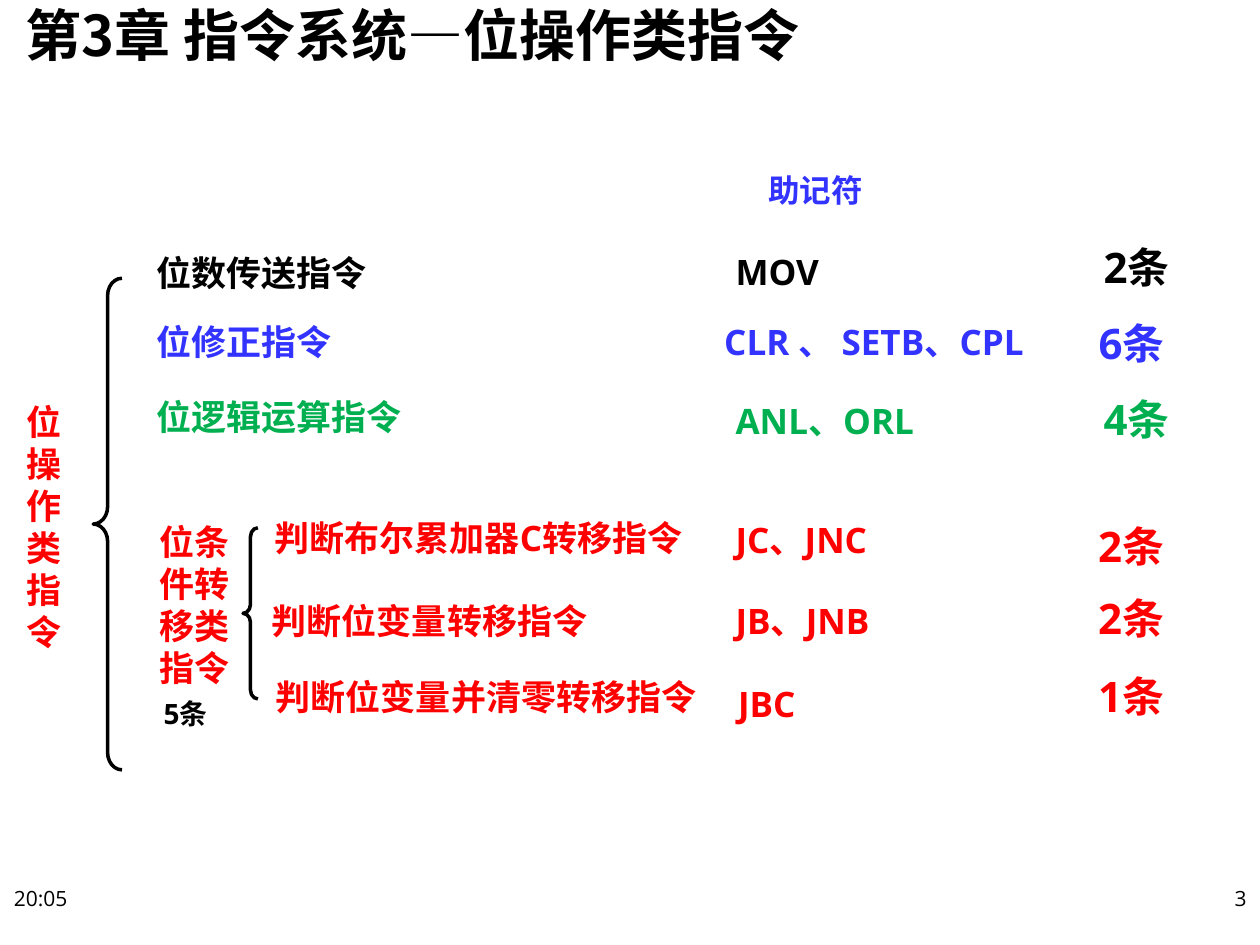
from lxml import etree
from pptx import Presentation
from pptx import util as u
from pptx.dml.color import RGBColor
from pptx.enum import shapes, text
from pptx.oxml.ns import qn

BLACK, BLUE, GREEN, RED = "000000", "3333FF", "00B050", "FF0000"
LATIN, CHINESE = "Open Sans", "Noto Sans CJK SC"
ROW_HEIGHT = 1.32


def color(value):
    """Turn a hex string into a colour."""
    return RGBColor.from_string(value)


def place(shape, left, top, width, height):
    """Move and size a shape, in centimetres."""
    shape.left, shape.top = u.Cm(left), u.Cm(top)
    shape.width, shape.height = u.Cm(width), u.Cm(height)


def format_text(shape, size, hex_color, bold=True, font=LATIN):
    """Format every run of a shape with Latin and Chinese fonts."""
    for paragraph in shape.text_frame.paragraphs:
        for run in paragraph.runs:
            run.font.size, run.font.bold = u.Pt(size), bold
            run.font.name = font
            run.font.color.rgb = color(hex_color)
            east_asian = etree.SubElement(run.font._element, qn("a:ea"))
            east_asian.set("typeface", CHINESE)


def add_text(slide, words, box, size, hex_color, bold=True, font=LATIN):
    """Add a wrapping text box anchored at its top."""
    shape = slide.shapes.add_textbox(*(u.Cm(length) for length in box))
    shape.text_frame.word_wrap = True
    shape.text_frame.text = words
    format_text(shape, size, hex_color, bold, font)
    return shape


def add_label(slide, words, box, size, hex_color):
    """Add a bold label resting on the bottom of its box."""
    shape = add_text(slide, words, box, size, hex_color)
    shape.text_frame.vertical_anchor = text.MSO_ANCHOR.BOTTOM
    shape.text_frame.paragraphs[0].line_spacing = u.Pt(size * 1.2)


def add_brace(slide, box):
    """Add a left brace with a black outline."""
    brace = slide.shapes.add_shape(shapes.MSO_SHAPE.LEFT_BRACE,
                                   *(u.Cm(length) for length in box))
    brace.shadow.inherit = False
    brace.fill.background()
    brace.line.color.rgb = color(BLACK)
    brace.line.width = u.Pt(2)
    brace.adjustments[0] = 0.6


def add_title(slide, box):
    """Fill the title placeholder."""
    title = slide.shapes.title
    place(title, *box)
    frame = title.text_frame
    frame.text = "第3章 指令系统—位操作类指令"
    frame.word_wrap = True
    frame.auto_size = text.MSO_AUTO_SIZE.NONE
    frame.vertical_anchor = text.MSO_ANCHOR.TOP
    frame.margin_left = u.Cm(0.51)
    frame.margin_top = frame.margin_right = frame.margin_bottom = 0
    frame.paragraphs[0].alignment = text.PP_ALIGN.LEFT
    format_text(title, 32, BLACK, font=CHINESE)


def add_footer(slide, left, top, width):
    """Add the time on the left and the slide number on the right."""
    field = 5.51
    add_text(slide, "20:05", (left, top, field, ROW_HEIGHT), 12, BLACK, False)
    number = add_text(slide, "3", (left + width - field, top, field, ROW_HEIGHT),
                      12, BLACK, False)
    number.text_frame.paragraphs[0].alignment = text.PP_ALIGN.RIGHT


def add_group(slide, name, left, top, name_box, brace_box):
    """Add a group name and its brace, relative to the group's corner."""
    def shift(box):
        return (left + box[0], top + box[1], *box[2:])

    add_label(slide, name, shift(name_box), 20, RED)
    add_brace(slide, shift(brace_box))


def add_rows(slide, left, top, rows):
    """Add name, mnemonics and count for each instruction class."""
    styles = ((10.16, 20), (7.49, 20), (2.24, 24))
    for hex_color, *cells in rows:
        for (words, x, y), (width, size) in zip(cells, styles):
            box = (left + x, top + y, width, ROW_HEIGHT)
            add_label(slide, words, box, size, hex_color)


def main():
    """Build and save the slide."""
    presentation = Presentation()
    presentation.slide_width, presentation.slide_height = u.Cm(25.4), u.Cm(19.05)
    slide = presentation.slides.add_slide(presentation.slide_layouts[5])

    add_title(slide, (0, 0, 18.49, 1.98))
    add_footer(slide, 0.03, 17.72, 25.35)
    add_text(slide, "助记符", (15.24, 3.33, 3, 1.02), 18, BLUE, font=CHINESE)

    add_group(slide, "位操作类指令", 0.28, 5.61,
              (0, 2.26, 1.12, 5.41), (1.6, 0, 0.58, 9.91))
    add_group(slide, "位条件转移类指令", 2.97, 10.44,
              (0, 0, 2.06, 3.56), (1.93, 0.2, 0.3, 3.45))
    add_label(slide, "5条", (3.05, 14, 1.68, 0.84), 16, BLACK)

    add_rows(slide, 2.9, 4.7, (
        (BLACK, ("位数传送指令", 0, 0.02), ("MOV", 11.68, 0), ("2条", 19.1, 0)),
        (BLUE, ("位修正指令", 0, 1.42), ("CLR 、 SETB、CPL", 11.45, 1.42),
         ("6条", 19, 1.52)),
        (GREEN, ("位逻辑运算指令", 0, 2.92), ("ANL、ORL", 11.68, 3),
         ("4条", 19.1, 3.05)),
    ))
    add_rows(slide, 5.23, 10.06, (
        (RED, ("判断布尔累加器C转移指令", 0.05, 0), ("JC、JNC", 9.35, 0.05),
         ("2条", 16.66, 0.25)),
        (RED, ("判断位变量转移指令", 0, 1.67), ("JB、JNB", 9.35, 1.67),
         ("2条", 16.66, 1.7)),
        (RED, ("判断位变量并清零转移指令", 0.08, 3.2), ("JBC", 9.4, 3.35),
         ("1条", 16.66, 3.28)),
    ))
    presentation.save("out.pptx")


main()
